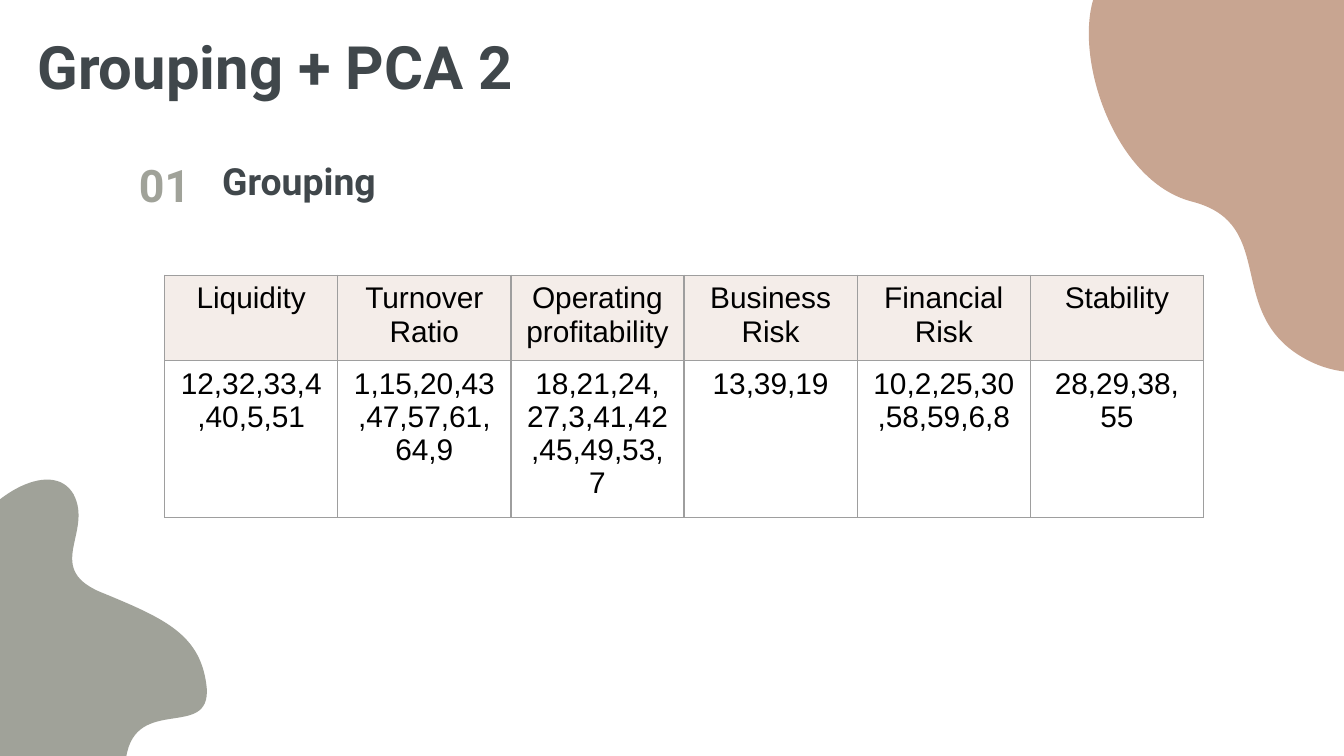
import math

from lxml import etree
from pptx import Presentation
from pptx.dml.color import RGBColor
from pptx.enum import text
from pptx.oxml.ns import qn
from pptx.util import Pt

COLORS = {"ink": "40474B", "sage": "A0A299", "clay": "C8A591",
          "header": "F4EDE9", "border": "9E9E9E", "black": "000000"}

# Content: (heading, values), with a line break where a new paragraph starts
GROUPS = [
    ("Liquidity", "12,32,33,4,40,5,51"),
    ("Turnover\nRatio", "1,15,20,43,47,57,61,\n64,9"),
    ("Operating profitability", "18,21,24,\n27,3,41,42,45,49,53,7"),
    ("Business Risk", "13,39,19"),
    ("Financial\nRisk", "10,2,25,30,58,59,6,8"),
    ("Stability", "28,29,38,\n55"),
]
TABLE_LEFT, TABLE_TOP, TABLE_WIDTH, TABLE_HEIGHT = 88.2, 147.5, 556.6, 129.6
ROW_HEIGHTS = (36, 82.8)

# Text boxes: words, (left, top, width, height), size, colour, top inset, anchor, alignment
TOP, MIDDLE, BOTTOM = (text.MSO_ANCHOR.TOP, text.MSO_ANCHOR.MIDDLE, text.MSO_ANCHOR.BOTTOM)
LEFT, CENTER = text.PP_ALIGN.LEFT, text.PP_ALIGN.CENTER
LABELS = [
    ("Grouping", (111.9, 77.8, 386.6, 57.6), 20, "ink", 7.2, TOP, LEFT),
    ("01", (64.8, 81.7, 46.8, 32.4), 24, "sage", 9.4, MIDDLE, CENTER),
    ("Grouping + PCA 2", (13, -6.2, 416.2, 67.7), 32, "ink", 7.2, BOTTOM, LEFT),
]

# Blobs: colour, rotation, centre, start point, then Bezier curves (control, control, end)
BLOBS = [
    ("clay", 0, (688.7, 79.6), (735.8, -46.8), [
        ((757.4, -36.7), (781.2, -24.5), (769.7, 0.7)),
        ((758.2, 25.2), (716.4, 81.4), (743.8, 92.2)),
        ((771.1, 103.7), (807.8, 101.5), (806.4, 133.2)),
        ((805, 165.6), (749.5, 216.7), (702, 193.7)),
        ((653.8, 169.9), (686.2, 120.2), (638.6, 108)),
        ((591.1, 95.8), (569.5, 11.5), (592.6, -13)),
        ((615.6, -37.4), (714.2, -57.6), (735.8, -46.8))]),
    ("sage", 42.3, (32.4, 352.4), (39.6, 265), [
        ((50.4, 285.8), (22.3, 305.3), (56.2, 318.2)),
        ((89.3, 331.9), (108, 340.6), (110.9, 368.6)),
        ((113, 396.7), (72.7, 372.2), (67.7, 406.1)),
        ((63.4, 439.9), (5.8, 431.3), (-8.6, 396)),
        ((-22.3, 360), (-37.4, 329), (-23.8, 298.1)),
        ((-9.4, 265.7), (28.1, 244.8), (39.6, 265))]),
]


def color(name):
    return RGBColor.from_string(COLORS[name])


def write(frame, words, size, font, tint, align, bold=False):
    for i, line in enumerate(words.split("\n")):
        para = frame.paragraphs[0] if i == 0 else frame.add_paragraph()
        para.alignment = align
        span = para.add_run()
        span.text = line
        span.font.size, span.font.name, span.font.bold = Pt(size), font, bold
        span.font.color.rgb = color(tint)


def turn_back(point, center, angle):
    """Undo the shape's rotation, so that its outline is stored unrotated."""
    cos, sin = math.cos(math.radians(angle)), math.sin(math.radians(angle))
    x, y = point[0] - center[0], point[1] - center[1]
    return Pt(center[0] + x * cos + y * sin), Pt(center[1] - x * sin + y * cos)


def add_blob(page, tint, angle, center, start, curves):
    first = turn_back(start, center, angle)
    points = [turn_back(point, center, angle) for curve in curves for point in curve]
    outline = page.shapes.build_freeform(*first)
    outline.add_line_segments(points, close=True)
    blob = outline.convert_to_shape()

    # Join each three straight segments into one Bezier curve
    segments = list(blob._element.iter(qn("a:lnTo")))
    for i in range(0, len(segments), 3):
        curve = etree.Element(qn("a:cubicBezTo"))
        segments[i].addprevious(curve)
        for segment in segments[i:i + 3]:
            curve.append(segment[0])
            segment.getparent().remove(segment)

    blob.rotation = angle
    blob.shadow.inherit = False
    blob.fill.solid()
    blob.fill.fore_color.rgb = color(tint)
    blob.line.fill.background()


def add_label(page, words, place, size, tint, inset_top, anchor, align):
    box = page.shapes.add_textbox(*map(Pt, place))
    frame = box.text_frame
    frame.word_wrap = True
    frame.vertical_anchor = anchor
    frame.margin_left = frame.margin_right = frame.margin_bottom = Pt(7.2)
    frame.margin_top = Pt(inset_top)
    write(frame, words, size, "Roboto", tint, align, bold=True)


def set_borders(cell):
    props = cell._tc.get_or_add_tcPr()
    for i, side in enumerate(("a:lnL", "a:lnR", "a:lnT", "a:lnB")):
        line = etree.Element(qn(side), w=str(Pt(0.75)))
        fill = etree.SubElement(line, qn("a:solidFill"))
        etree.SubElement(fill, qn("a:srgbClr"), val=COLORS["border"])
        props.insert(i, line)


def add_groups_table(page):
    holder = page.shapes.add_table(2, len(GROUPS), Pt(TABLE_LEFT), Pt(TABLE_TOP),
                                   Pt(TABLE_WIDTH), Pt(TABLE_HEIGHT))
    table = holder.table
    for row, height in zip(table.rows, ROW_HEIGHTS):
        row.height = Pt(height)
    holder.height = Pt(TABLE_HEIGHT)
    for c, group in enumerate(GROUPS):
        table.columns[c].width = Pt(TABLE_WIDTH / len(GROUPS))
        for r, words in enumerate(group):
            cell = table.cell(r, c)
            if r == 0:
                cell.fill.solid()
                cell.fill.fore_color.rgb = color("header")
            else:
                cell.fill.background()
            set_borders(cell)
            write(cell.text_frame, words, 16, "Arial", "black", CENTER)


def main():
    deck = Presentation()
    deck.slide_width, deck.slide_height = Pt(720), Pt(405)
    page = deck.slides.add_slide(deck.slide_layouts[6])

    # Corner blobs
    for blob in BLOBS:
        add_blob(page, *blob)

    # Title, number and subtitle
    for label in LABELS:
        add_label(page, *label)

    # Ratio groups
    add_groups_table(page)
    deck.save("out.pptx")


if __name__ == "__main__":
    main()
